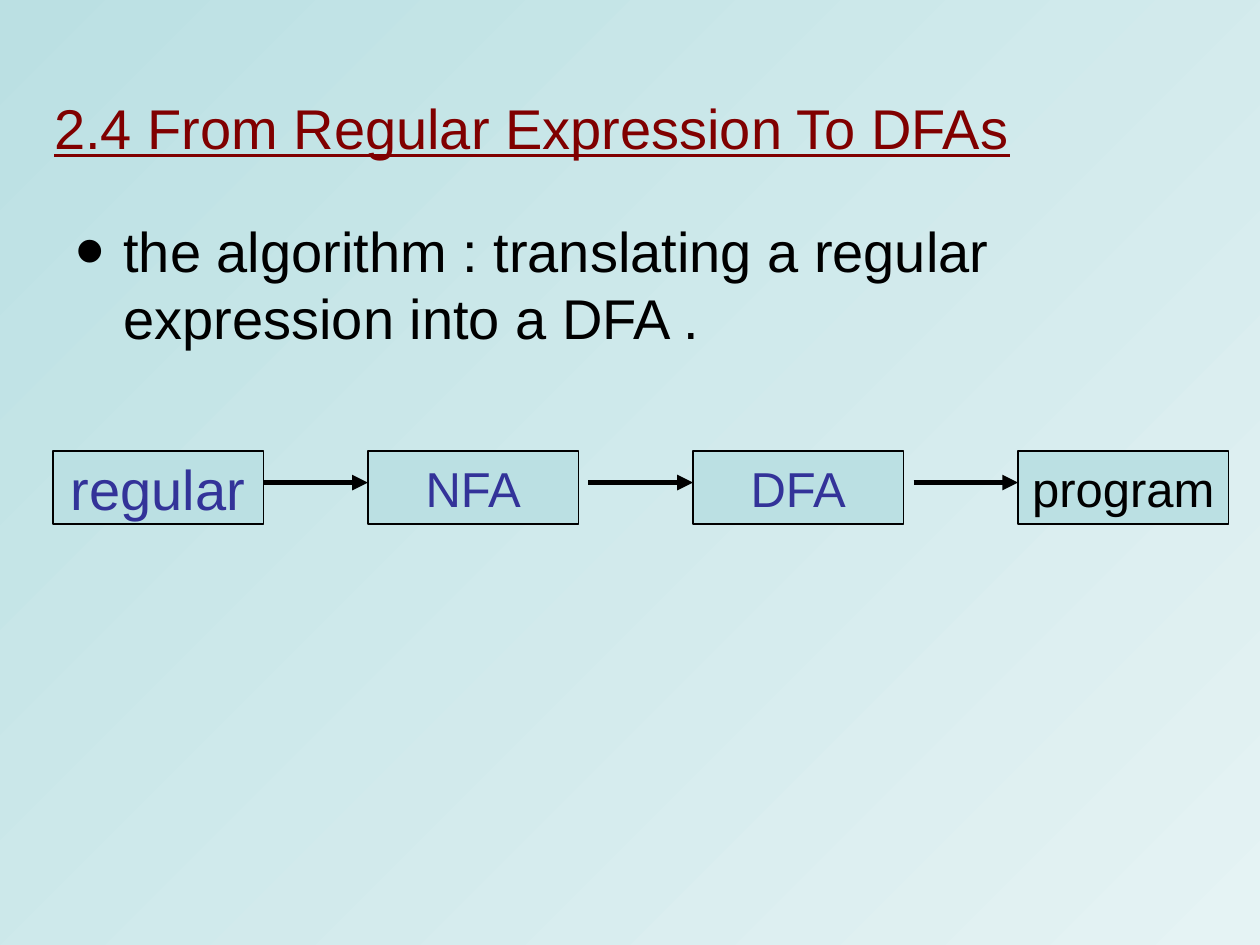
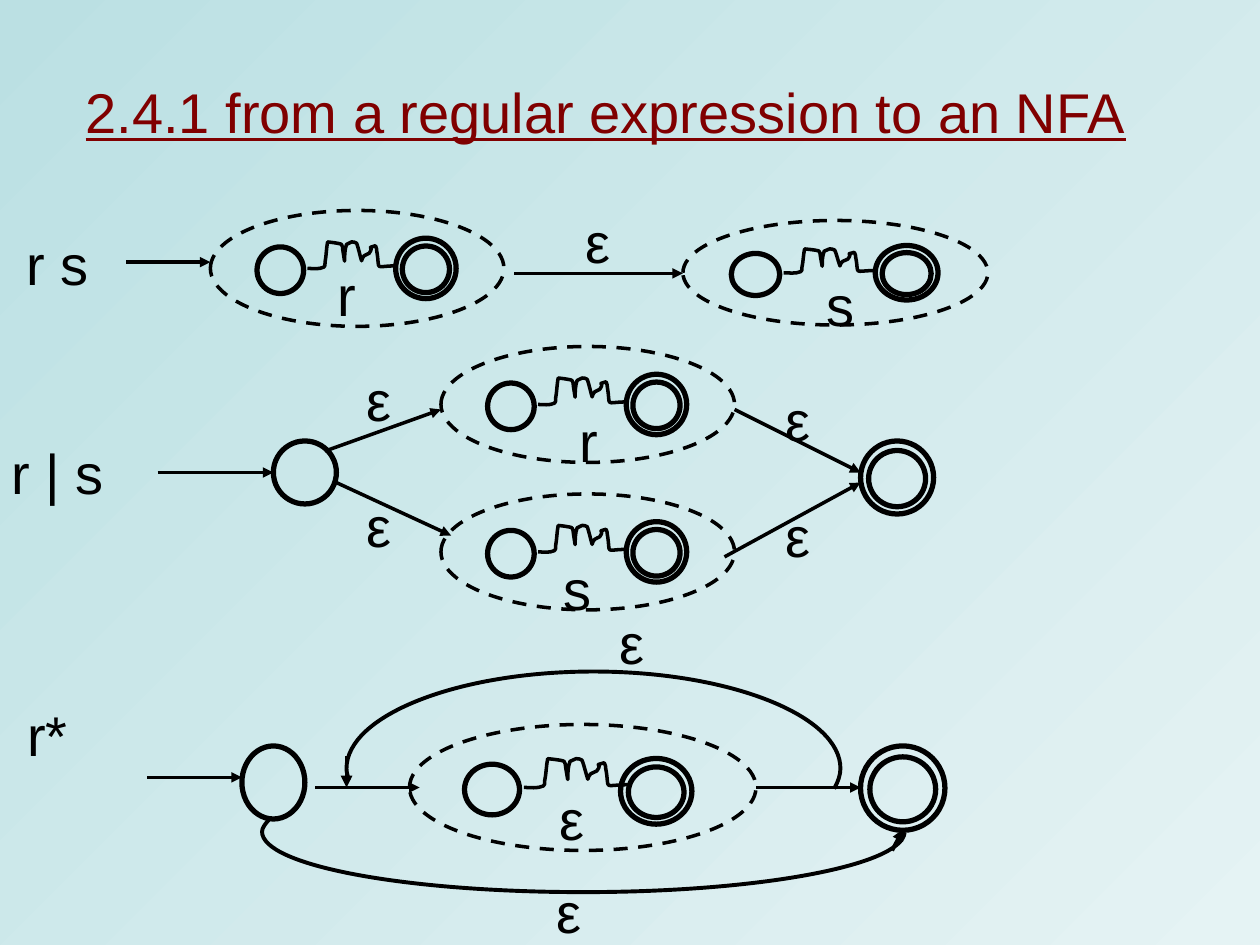
"""Build two slides on turning regular expressions into automata."""
from lxml.etree import SubElement
from pptx import Presentation
from pptx.dml.color import RGBColor
from pptx.enum.dml import MSO_LINE
from pptx.enum.shapes import MSO_CONNECTOR, MSO_SHAPE
from pptx.enum.text import MSO_ANCHOR, MSO_AUTO_SIZE, PP_ALIGN
from pptx.oxml.ns import qn
from pptx.util import Inches, Pt

FONT = "Arial"
BLACK, MAROON, INDIGO = "000000", "800000", "333399"
PALE_TEAL, MIST = "BBE0E3", "E5F3F4"
OVAL_SIZE = (2.33, 0.92)
SQUIGGLE = [
    (0, 0.21), (0.04, 0.21), (0.09, 0.22), (0.13, 0.2),
    (0.14, 0.2), (0.14, 0.18), (0.14, 0.16),
    (0.15, 0.11), (0.15, 0.05), (0.16, 0),
    (0.16, 0), (0.26, 0.01), (0.27, 0.02),
    (0.28, 0.03), (0.28, 0.05), (0.28, 0.06),
    (0.31, 0.25), (0.28, 0.1), (0.31, 0.02),
    (0.32, 0.01), (0.34, 0.01), (0.35, 0),
    (0.36, 0), (0.38, 0), (0.39, 0.01),
    (0.4, 0.03), (0.42, 0.12), (0.43, 0.15),
    (0.43, 0.14), (0.44, 0.12), (0.45, 0.11),
    (0.46, 0.1), (0.48, 0.1), (0.49, 0.09),
    (0.54, 0.02), (0.45, 0.06), (0.54, 0.03),
    (0.55, 0.05), (0.55, 0.06), (0.55, 0.07),
    (0.58, 0.24), (0.52, 0.19), (0.71, 0.19),
]
REPEAT_ARC = [
    (2.77, 6.19), (2.76, 6.16), (2.75, 6.13), (2.75, 6.1),
    (2.75, 5.68), (3.63, 5.33), (4.71, 5.33),
    (5.79, 5.33), (6.67, 5.68), (6.67, 6.1),
    (6.67, 6.15), (6.65, 6.21), (6.62, 6.26),
]
SKIP_ARC = [
    (7.18, 6.61), (7.15, 6.87), (6.02, 7.08), (4.63, 7.08),
    (3.22, 7.08), (2.08, 6.87), (2.08, 6.6),
    (2.08, 6.57), (2.11, 6.53), (2.15, 6.49),
]


def rgb(hex_code):
    return RGBColor.from_string(hex_code)


def inches(*lengths):
    return [Inches(length) for length in lengths]


def format_text(paragraph, size, color, underline=None):
    for run in paragraph.runs:
        font = run.font
        font.name, font.size, font.underline = FONT, Pt(size), underline
        font.color.rgb = rgb(color)


def set_line(line, width, dashed=False):
    line.color.rgb = rgb(BLACK)
    line.width = Pt(width)
    if dashed:
        line.dash_style = MSO_LINE.DASH


def place(shape, left, top, width, height):
    shape.left, shape.top, shape.width, shape.height = inches(left, top, width, height)


def paint_background(master):
    fill = master.background.fill
    fill.gradient()
    fill.gradient_angle = 315
    for stop, color in zip(fill.gradient_stops, (PALE_TEAL, MIST)):
        stop.color.rgb = rgb(color)


def add_titled_slide(prs, layout_index, title_text, box):
    slide = prs.slides.add_slide(prs.slide_layouts[layout_index])
    title = slide.shapes.title
    place(title, *box)
    frame = title.text_frame
    frame.text = title_text
    frame.auto_size = MSO_AUTO_SIZE.NONE
    frame.vertical_anchor = MSO_ANCHOR.MIDDLE
    frame.paragraphs[0].alignment = PP_ALIGN.LEFT
    format_text(frame.paragraphs[0], 32, MAROON, underline=True)
    return slide


def fill_bullet(body, text, box):
    place(body, *box)
    frame = body.text_frame
    frame.text = text
    frame.auto_size = MSO_AUTO_SIZE.NONE
    paragraph = frame.paragraphs[0]
    properties = paragraph._p.get_or_add_pPr()
    properties.set("marL", str(Inches(0.38)))
    properties.set("indent", str(-Inches(0.38)))
    bullet_color = SubElement(properties, qn("a:buClr"))
    SubElement(bullet_color, qn("a:srgbClr")).set("val", BLACK)
    SubElement(properties, qn("a:buSzPct")).set("val", "150000")
    SubElement(properties, qn("a:buChar")).set("char", "•")
    paragraph.space_before = Pt(0)
    format_text(paragraph, 32, BLACK)


def center_text(shape, text, size, color):
    frame = shape.text_frame
    frame.text = text
    frame.word_wrap = False
    frame.auto_size = MSO_AUTO_SIZE.NONE
    frame.vertical_anchor = MSO_ANCHOR.MIDDLE
    frame.margin_left = frame.margin_right = frame.margin_top = frame.margin_bottom = 0
    frame.paragraphs[0].alignment = PP_ALIGN.CENTER
    format_text(frame.paragraphs[0], size, color)


def add_label(slide, text, left, top, width=1, height=0.33):
    label = slide.shapes.add_textbox(*inches(left, top, width, height))
    center_text(label, text, 32, BLACK)


def add_stage(slide, text, left, size, color):
    stage = slide.shapes.add_shape(MSO_SHAPE.RECTANGLE, *inches(left, 3.58, 1.67, 0.58))
    stage.shadow.inherit = False
    stage.fill.solid()
    stage.fill.fore_color.rgb = rgb(PALE_TEAL)
    set_line(stage.line, 0.75)
    center_text(stage, text, size, color)


def add_arrow(slide, start, end, width=2):
    arrow = slide.shapes.add_connector(MSO_CONNECTOR.STRAIGHT, *inches(*start, *end))
    set_line(arrow.line, width)
    SubElement(arrow.line._get_or_add_ln(), qn("a:tailEnd")).set("type", "triangle")
    SubElement(arrow._element.spPr, qn("a:effectLst"))


def add_ellipse(slide, left, top, width, height, weight=3, dashed=False):
    ellipse = slide.shapes.add_shape(MSO_SHAPE.OVAL, *inches(left, top, width, height))
    ellipse.shadow.inherit = False
    ellipse.fill.background()
    set_line(ellipse.line, weight, dashed)


def add_accepting_state(slide, left, top, width, height):
    add_ellipse(slide, left + 0.11 * width, top + 0.13 * height, 0.78 * width, 0.77 * height)
    add_ellipse(slide, left, top, width, height)


def add_curve(slide, controls, weight):
    start, *others = [inches(x, y) for x, y in controls]
    builder = slide.shapes.build_freeform(*start)
    builder.add_line_segments(others, close=False)
    curve = builder.convert_to_shape()
    curve.shadow.inherit = False
    curve.fill.background()
    set_line(curve.line, weight)
    outline = next(curve._element.iter(qn("a:path")))
    segments = outline.findall(qn("a:lnTo"))
    for i in range(0, len(segments), 3):
        bezier = SubElement(outline, qn("a:cubicBezTo"))
        for segment in segments[i:i + 3]:
            bezier.append(segment[0])
            outline.remove(segment)


def add_machine(slide, left, top, width=OVAL_SIZE[0], height=OVAL_SIZE[1], accept_shift=(0, 0)):
    x_scale, y_scale = width / OVAL_SIZE[0], height / OVAL_SIZE[1]

    def position(x, y):
        return left + x * x_scale, top + y * y_scale

    accept_left, accept_top = position(1.47, 0.22)
    add_accepting_state(slide, accept_left + accept_shift[0], accept_top + accept_shift[1],
                        0.48 * x_scale, 0.48 * y_scale)
    add_ellipse(slide, *position(0.37, 0.29), 0.37 * x_scale, 0.37 * y_scale)
    add_curve(slide, [position(0.77 + x, 0.25 + y) for x, y in SQUIGGLE], 2)
    add_ellipse(slide, left, top, width, height, weight=2, dashed=True)


def build_pipeline(prs):
    slide = add_titled_slide(prs, 1, "2.4 From Regular Expression To DFAs", (0.33, 0.67, 8.92, 0.67))
    fill_bullet(slide.placeholders[1],
                "the algorithm : translating a regular expression into a DFA .",
                (0.5, 1.67, 8.75, 1.5))
    later_stages = [("NFA", INDIGO), ("DFA", INDIGO), ("program", BLACK)]
    lefts = [2.92 + 2.58 * i for i in range(len(later_stages))]
    for left in lefts:
        add_arrow(slide, (left - 0.83, 3.83), (left, 3.83), width=3)
    add_stage(slide, "regular", 0.42, 32, INDIGO)
    for left, (text, color) in zip(lefts, later_stages):
        add_stage(slide, text, left, 28, color)


def draw_concatenation(slide):
    add_label(slide, "r s", 0, 1.92, 0.92)
    add_arrow(slide, (1, 2.08), (1.67, 2.08))
    add_machine(slide, 1.67, 1.67)
    add_label(slide, "r", 2.25, 2.17)
    add_arrow(slide, (4.08, 2.17), (5.42, 2.17))
    add_label(slide, "ε", 4.25, 1.75)
    add_machine(slide, 5.42, 1.75, 2.42, 0.83)
    add_label(slide, "s", 6.17, 2.25)


def draw_choice(slide):
    add_label(slide, "r | s", 0, 3.58, 0.92)
    add_arrow(slide, (1.25, 3.75), (2.17, 3.75))
    add_ellipse(slide, 2.17, 3.5, 0.5, 0.5)
    add_machine(slide, 3.5, 2.75)
    add_label(slide, "r", 4.17, 3.33)
    add_machine(slide, 3.5, 3.92)
    add_label(slide, "s", 4.08, 4.5)
    add_accepting_state(slide, 6.83, 3.5, 0.58, 0.58)
    for start, end in [((2.58, 3.58), (3.5, 3.25)), ((2.67, 3.83), (3.58, 4.25)),
                       ((5.83, 3.25), (6.83, 3.75)), ((5.75, 4.42), (6.83, 3.83))]:
        add_arrow(slide, start, end)
    for left, top in [(2.67, 2.92), (2.67, 3.92), (6, 3.08), (6, 4)]:
        add_label(slide, "ε", left, top, 0.67, 0.5)


def draw_repetition(slide):
    add_label(slide, "r*", 0, 5.58, 0.75, 0.5)
    add_arrow(slide, (1.17, 6.17), (1.92, 6.17))
    add_ellipse(slide, 1.92, 5.92, 0.5, 0.58)
    add_arrow(slide, (2.5, 6.25), (3.33, 6.25))
    add_machine(slide, 3.25, 5.75, 2.75, 1, accept_shift=(-0.06, 0.03))
    add_label(slide, "ε", 4.33, 6.17, 0.42, 0.64)
    add_arrow(slide, (6, 6.25), (6.83, 6.25))
    add_accepting_state(slide, 6.83, 5.92, 0.67, 0.67)
    add_curve(slide, REPEAT_ARC, 2.25)
    add_arrow(slide, (2.75, 6), (2.75, 6.25), width=2.25)
    add_label(slide, "ε", 4.92, 4.83, 0.2, 0.53)
    add_curve(slide, SKIP_ARC, 2.25)
    add_arrow(slide, (7.08, 6.75), (7.17, 6.58), width=2.25)
    add_label(slide, "ε", 4.42, 6.97, 0.2, 0.53)


def main():
    prs = Presentation()
    prs.slide_width, prs.slide_height = inches(10, 7.5)
    paint_background(prs.slide_master)
    build_pipeline(prs)
    slide = add_titled_slide(prs, 5, "2.4.1 from a regular expression to an NFA", (0.58, 0.67, 9.08, 0.42))
    draw_concatenation(slide)
    draw_choice(slide)
    draw_repetition(slide)
    prs.save("out.pptx")


if __name__ == "__main__":
    main()
